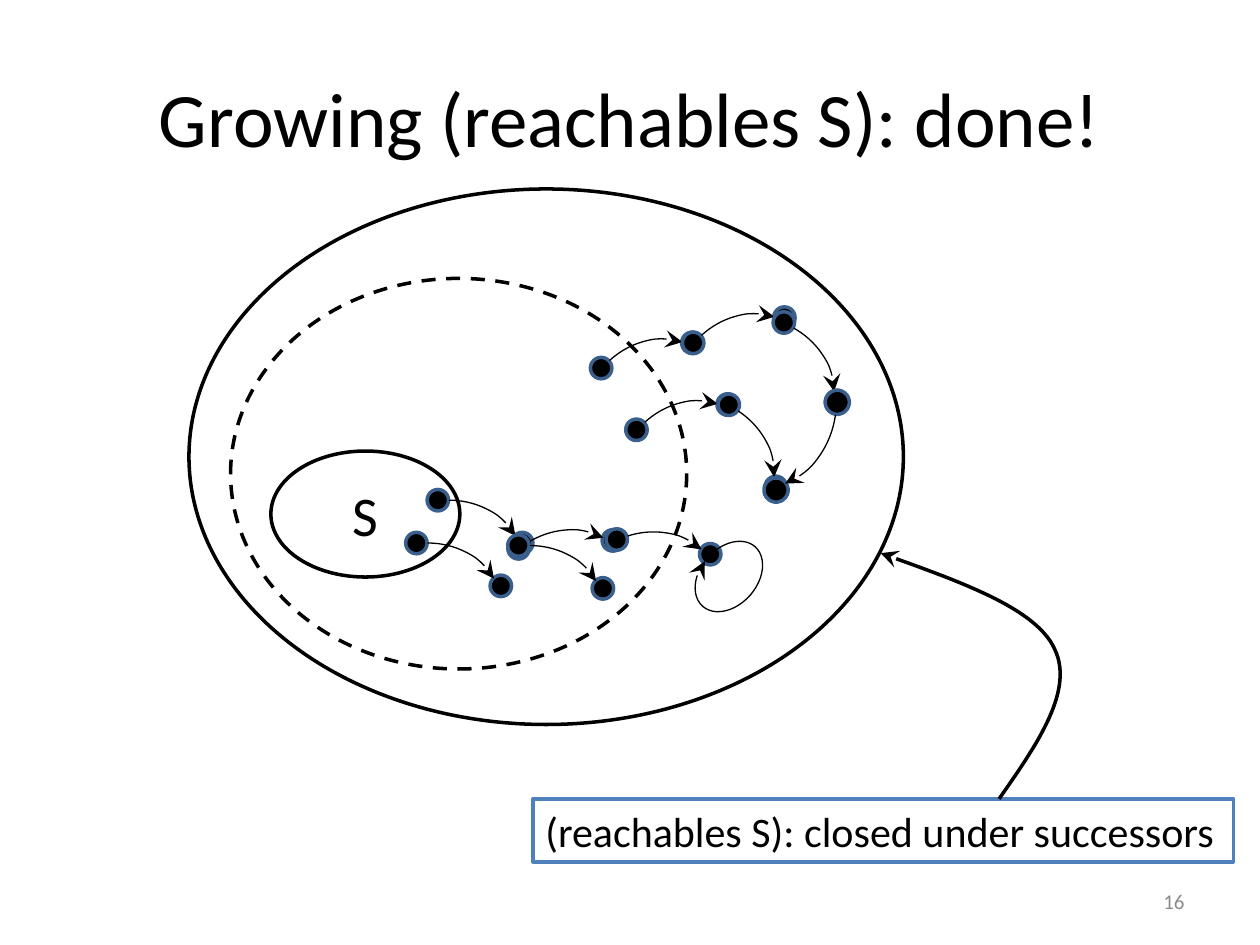
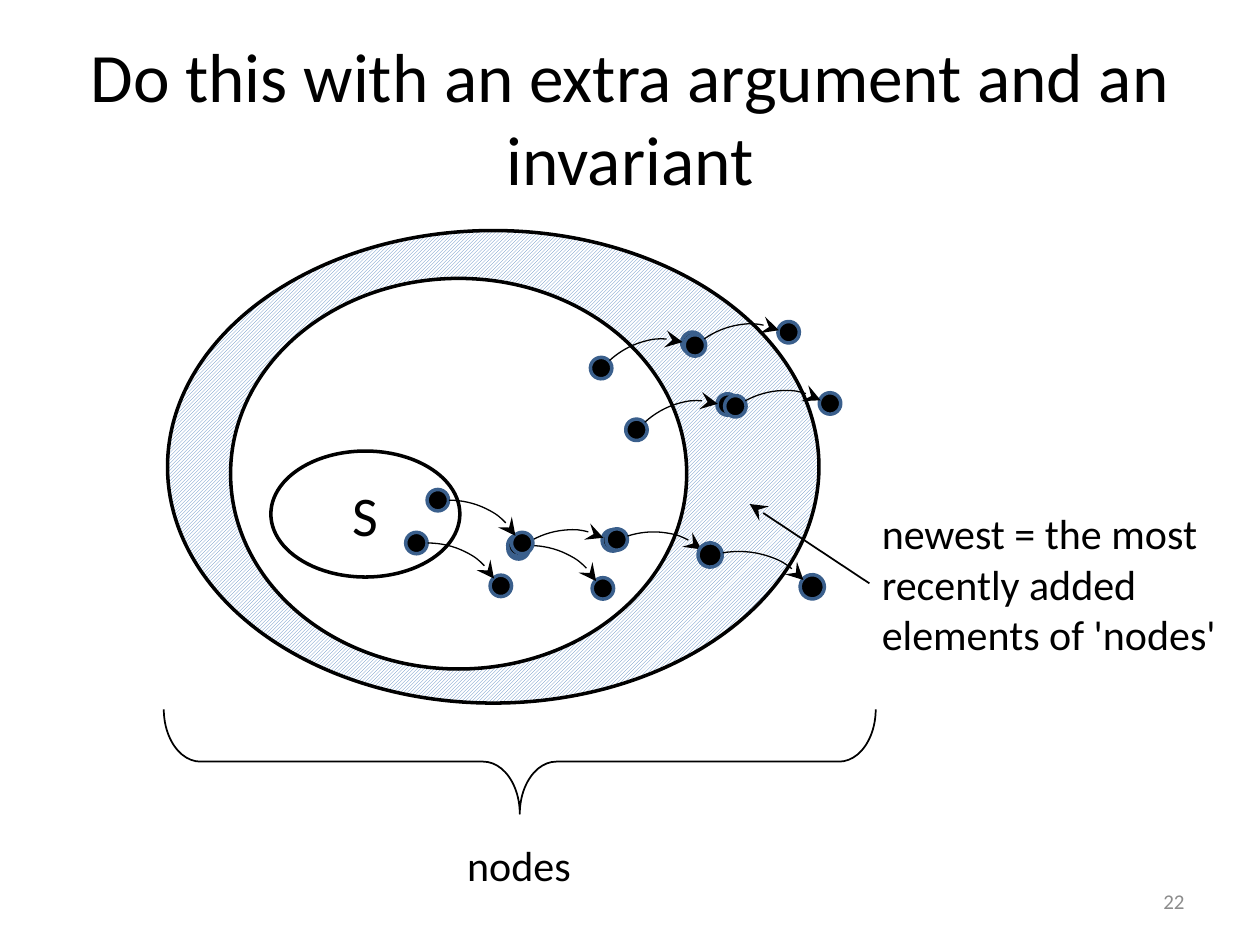
from math import cos, radians, sin

from lxml import etree
from pptx import Presentation
from pptx.dml.color import RGBColor
from pptx.enum.dml import MSO_LINE, MSO_PATTERN
from pptx.enum.shapes import MSO_CONNECTOR, MSO_SHAPE
from pptx.enum.text import MSO_ANCHOR, PP_ALIGN
from pptx.oxml.ns import qn
from pptx.util import Inches, Pt

BLACK = RGBColor(0x00, 0x00, 0x00)
WHITE = RGBColor(0xFF, 0xFF, 0xFF)
BLUE = RGBColor(0x4F, 0x81, 0xBD)
NAVY = RGBColor(0x3A, 0x5F, 0x8C)
GRAY = RGBColor(0x8C, 0x8C, 0x8C)
FONT = "Calibri"

OVAL, ARC = MSO_SHAPE.OVAL, MSO_SHAPE.ARC
RECT, BRACE = MSO_SHAPE.RECTANGLE, MSO_SHAPE.RIGHT_BRACE
STRAIGHT = MSO_CONNECTOR.STRAIGHT
DASH = MSO_LINE.DASH
HATCH = MSO_PATTERN.LIGHT_UPWARD_DIAGONAL
TOP, MIDDLE = MSO_ANCHOR.TOP, MSO_ANCHOR.MIDDLE
LEFT, CENTER, RIGHT = PP_ALIGN.LEFT, PP_ALIGN.CENTER, PP_ALIGN.RIGHT

# The slide is a grid of 10 columns by 7.5 rows.
COLS, ROWS = 10, 7.5
CELL = Inches(1)

# Areas as left, top, width, height in grid cells.
TITLE = (0.5, 0.3, 9, 1.25)
NUMBER = (7.17, 6.95, 2.33, 0.4)
SEED = (2.15, 3.58, 1.5, 1)
INNER = (1.83, 2.21, 3.62, 3.1)

# A hop is two dots joined by an arc; offsets run from the arc's centre.
ARC_W, ARC_H, DOT = 1.17, 1, 0.17
ENDS = ((-0.09, -0.5), (0.58, -0.16))
ARC_SPAN = (162, 202.55)
LOOP_SPAN = (162, 156.76)
LARGE = 1.13

# Hops as the arc's left column, top row, turn in degrees and scale.
SEED_HOPS = ((2.81, 4.31, 0), (2.98, 3.97, 0))
INNER_HOPS = (
    (4.87, 3.22, 317.6),
    (3.87, 4.23, 328.3),
    (3.62, 4.33, 0),
    (4.55, 4.23, 342),
    (4.59, 2.73, 317.6),
)
DONE_HOPS = (
    (5.32, 2.53, 317.6),
    (5, 3.18, 33.3),
    (5.47, 2.54, 29.3),
    (5.41, 2.65, 98, LARGE),
)
NEWEST_HOPS = (
    (5.29, 2.6, 325.1),
    (5.57, 3.12, 331.4),
    (5.17, 4.38, 350.4, LARGE),
)


def cells(*sizes):
    return [round(size * CELL) for size in sizes]


def stroke(line, color, width, arrow=False):
    line.color.rgb = color
    line.width = Pt(width)
    if arrow:
        ln = line._get_or_add_ln()
        etree.SubElement(ln, qn("a:tailEnd"), type="stealth", w="lg", len="lg")


def draw(shapes, kind, area, fill=None, line=BLACK, width=2, turn=0, spans=(), arrow=False):
    shape = shapes.add_shape(kind, *cells(*area))
    shape.shadow.inherit = False
    shape.rotation = turn
    for i, span in enumerate(spans):
        shape.adjustments[i] = span
    if fill is None:
        shape.fill.background()
    else:
        shape.fill.solid()
        shape.fill.fore_color.rgb = fill
    if line is None:
        shape.line.fill.background()
    else:
        stroke(shape.line, line, width, arrow)
    return shape


def write(shape, text, size, align=LEFT, anchor=TOP, color=BLACK, wrap=True):
    frame = shape.text_frame
    frame.word_wrap = wrap
    frame.vertical_anchor = anchor
    frame.text = text
    para = frame.paragraphs[0]
    para.alignment = align
    para.font.name = FONT
    para.font.size = Pt(size)
    para.font.color.rgb = color


def add_page(deck, title, size, number):
    page = deck.slides.add_slide(deck.slide_layouts[6])
    shapes = page.shapes
    write(shapes.add_textbox(*cells(*TITLE)), title, size, CENTER, MIDDLE)
    write(shapes.add_textbox(*cells(*NUMBER)), str(number), 12, RIGHT, MIDDLE, GRAY)
    return shapes


def add_seed(shapes):
    oval = draw(shapes, OVAL, SEED, WHITE)
    write(oval, "S", 32, CENTER, MIDDLE)


def add_hop(shapes, left, top, turn, scale=1):
    parts = shapes.add_group_shape().shapes
    wide, high, dot = ARC_W * scale, ARC_H * scale, DOT * scale
    x, y = left + wide / 2, top + high / 2
    c, s = cos(radians(turn)) * scale, sin(radians(turn)) * scale
    for dx, dy in ENDS:
        spot = (x + dx * c - dy * s - dot / 2, y + dx * s + dy * c - dot / 2, dot, dot)
        draw(parts, OVAL, spot, BLACK, NAVY, turn=turn)
    draw(parts, ARC, (left, top, wide, high), width=0.75, turn=turn,
         spans=ARC_SPAN, arrow=True)


def add_hops(shapes, hops):
    for hop in hops:
        add_hop(shapes, *hop)


def bezier(a, b, c, d, steps=30):
    """Points of a cubic curve after its start."""
    for i in range(1, steps + 1):
        t = i / steps
        u = 1 - t
        yield cells(*(
            u**3 * p + 3 * u * u * t * q + 3 * u * t * t * r + t**3 * s
            for p, q, r, s in zip(a, b, c, d)
        ))


def add_curve(shapes, knots):
    """Arrow through a chain of cubic curves: start, then three knots each."""
    points = []
    for i in range(0, len(knots) - 1, 3):
        points += bezier(*knots[i:i + 4])
    pen = shapes.build_freeform(*cells(*knots[0]))
    pen.add_line_segments(points, close=False)
    curve = pen.convert_to_shape()
    curve.shadow.inherit = False
    curve.fill.background()
    stroke(curve.line, BLACK, 2, True)


def add_arrow(shapes, start, end):
    arrow = shapes.add_connector(STRAIGHT, *cells(*start, *end))
    stroke(arrow.line, BLACK, 1, True)
    etree.SubElement(arrow._element.spPr, qn("a:effectLst"))


def build_done(deck):
    shapes = add_page(deck, "Growing (reachables S): done!", 44, 16)
    add_seed(shapes)
    add_hops(shapes, SEED_HOPS)
    add_hops(shapes, INNER_HOPS)
    draw(shapes, OVAL, INNER).line.dash_style = DASH
    add_hops(shapes, DONE_HOPS)
    draw(shapes, OVAL, (1.5, 1.5, 5.67, 4.25))
    draw(shapes, ARC, (5.47, 4.35, 0.63, 0.45), width=0.75, turn=311.2,
         spans=LOOP_SPAN, arrow=True)
    note = draw(shapes, RECT, (4.23, 6.34, 5.56, 0.5), WHITE, BLUE)
    write(note, "(reachables S): closed under successors", 24, wrap=False)
    add_curve(shapes, ((7.93, 6.34), (8.23, 5.91), (8.53, 5.48), (8.37, 5.15),
                       (8.22, 4.82), (7.6, 4.61), (6.99, 4.39)))


def build_newest(deck):
    shapes = add_page(deck, "Do this with an extra argument and an invariant", 39.6, 22)
    ring = draw(shapes, OVAL, (1.33, 1.83, 5.17, 3.75))
    ring.fill.patterned()
    ring.fill.pattern = HATCH
    ring.fill.fore_color.rgb = BLUE
    ring.fill.back_color.rgb = WHITE
    draw(shapes, OVAL, INNER, WHITE)
    add_hops(shapes, INNER_HOPS)
    add_hops(shapes, NEWEST_HOPS)
    add_seed(shapes)
    add_hops(shapes, SEED_HOPS)
    draw(shapes, BRACE, (3.71, 3.22, 0.83, 5.65), width=1, turn=90, spans=(0.35, 0.5))
    label = draw(shapes, RECT, (3.61, 6.61, 1.03, 0.5), WHITE, None)
    write(label, "nodes", 24, wrap=False)
    note = draw(shapes, RECT, (6.9, 3.98, 3.1, 1.31), WHITE, None)
    write(note, "newest = the most recently added elements of 'nodes'", 24)
    add_arrow(shapes, (6.9, 4.63), (5.95, 4))


def main():
    deck = Presentation()
    deck.slide_width, deck.slide_height = cells(COLS, ROWS)
    build_done(deck)
    build_newest(deck)
    deck.save("out.pptx")


if __name__ == "__main__":
    main()
